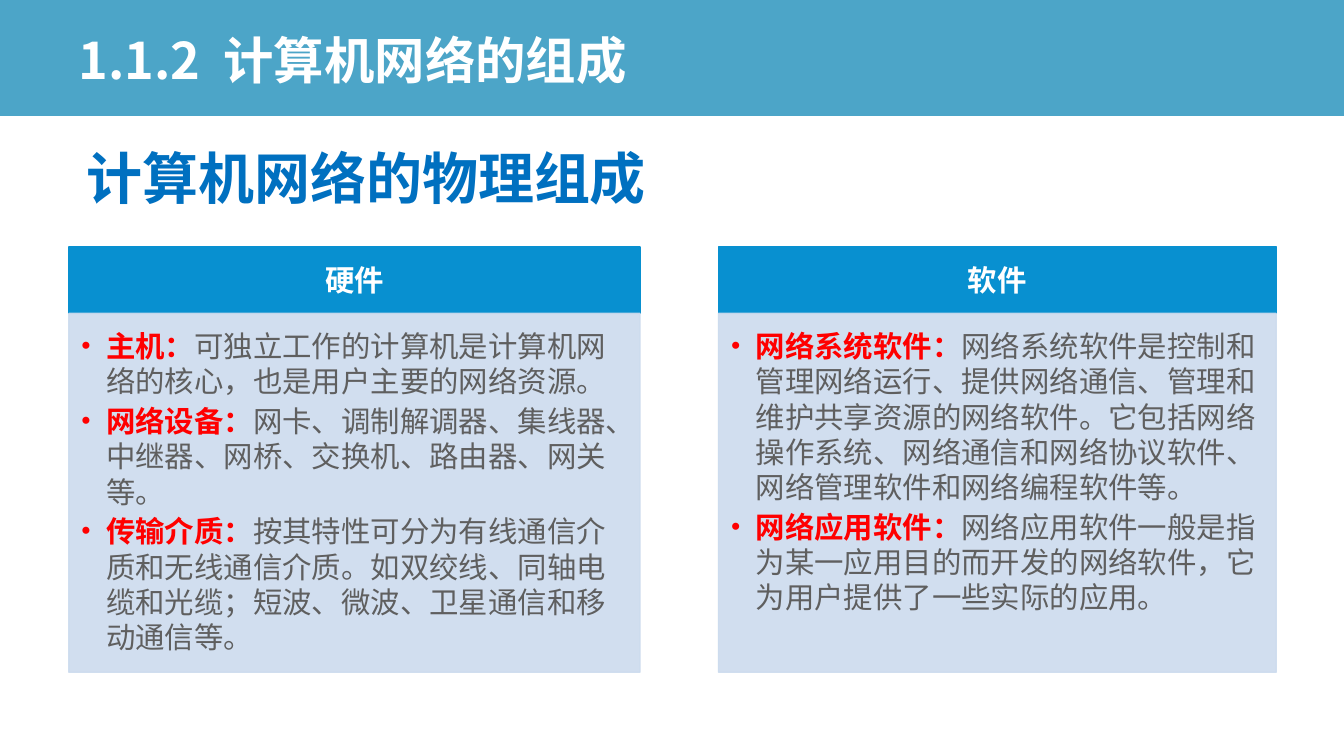
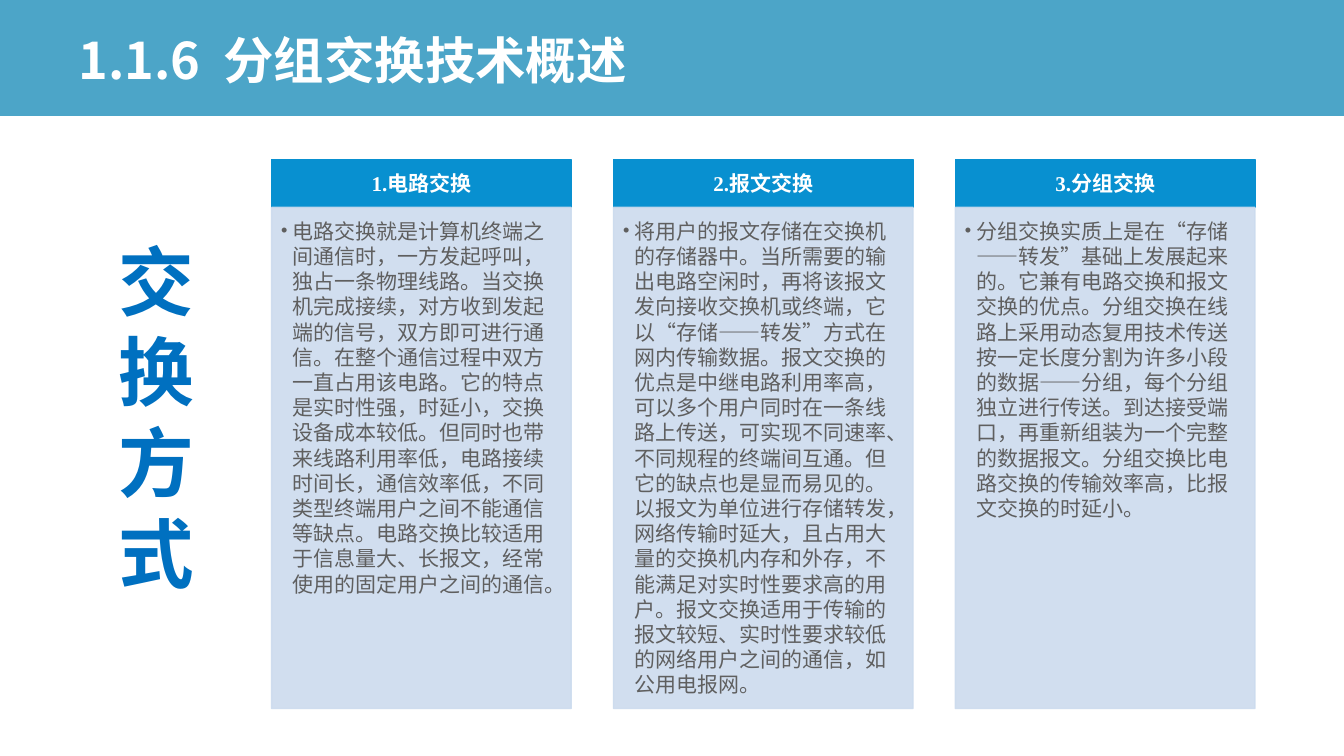
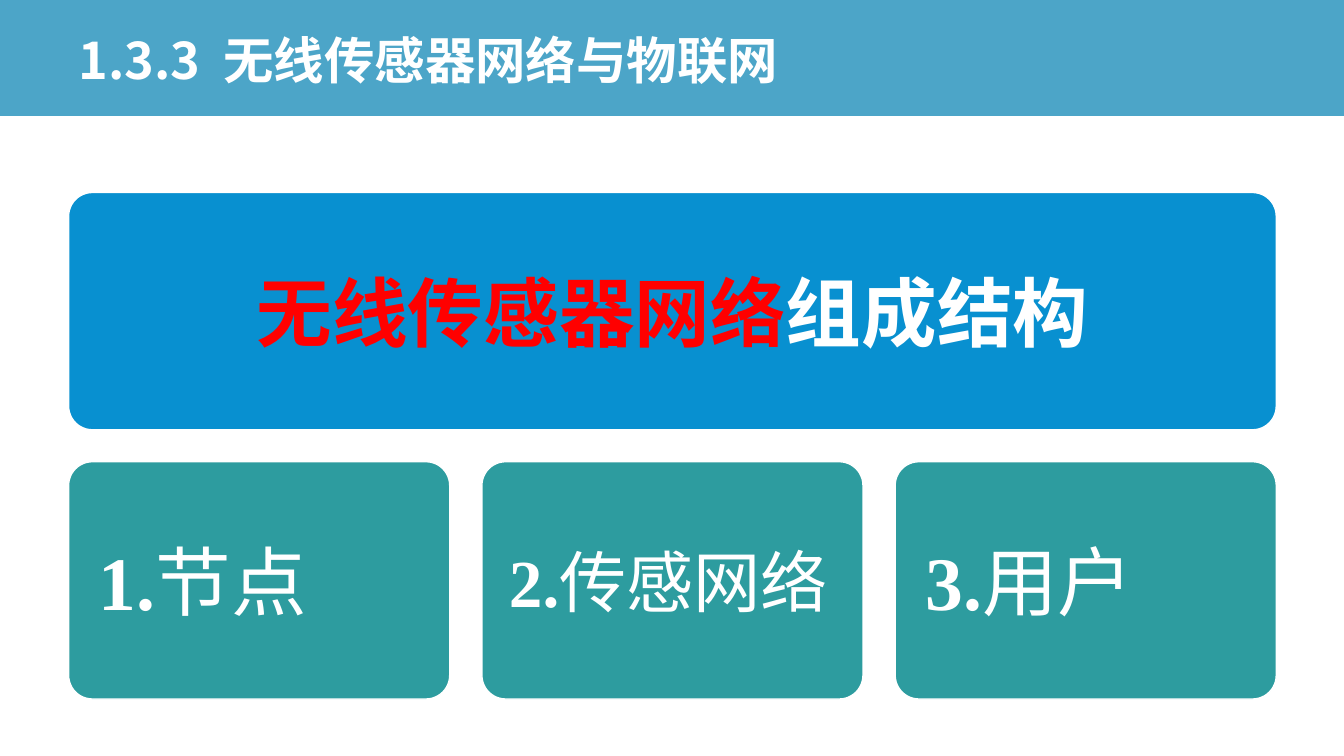
from dataclasses import dataclass

from lxml import etree
from pptx import Presentation
from pptx import util as u
from pptx.dml import color
from pptx.enum import shapes, text
from pptx.oxml import ns

SANS, SANS_JP, SERIF = "Noto Sans CJK SC", "Noto Sans CJK JP", "Times New Roman"
WHITE, RED, GREY = "FFFFFF", "FF0000", "5F5F5F"
BAND, HEADING, PANEL = "0080B2", "0890D0", "CCDBEE"
SUBTITLE, TEAL = "0070C0", "2D9C9F"
LEADING = 1.2


@dataclass(frozen=True)
class Box:
    """A rectangle on the slide, in points."""
    left: float
    top: float
    width: float
    height: float

    def place(self) -> tuple:
        """Return the rectangle as lengths."""
        return tuple(u.Pt(v) for v in (self.left, self.top, self.width, self.height))


@dataclass(frozen=True)
class Words:
    """A run of text with its format."""
    wording: str
    size: float
    hue: str
    bold: bool = False
    face: str = SERIF


@dataclass(frozen=True)
class Column:
    """A headed panel; each item is a red term and its explanation."""
    heading: str
    items: tuple
    left: float
    width: float


@dataclass(frozen=True)
class ColumnStyle:
    """Measures shared by the columns of one slide."""
    top: float
    heading_height: float
    panel_height: float
    size: float
    indent: float
    heading_face: str
    heading_insets: tuple
    panel_insets: tuple


def rgb(value: str) -> color.RGBColor:
    """Turn a hex string into a colour."""
    return color.RGBColor.from_string(value)


def fade(fill, opacity: int) -> None:
    """Make a solid fill or line partly transparent."""
    for node in fill.iter(ns.qn("a:srgbClr")):
        etree.SubElement(node, ns.qn("a:alpha")).set("val", str(opacity * 1000))


def add_run(paragraph, words: Words) -> None:
    """Append a formatted run."""
    run = paragraph.add_run()
    run.text = words.wording
    font = run.font
    font.size, font.bold, font.name = u.Pt(words.size), words.bold, words.face
    font.color.rgb = rgb(words.hue)
    properties = run._r.get_or_add_rPr()
    properties.set("lang", "zh-CN")
    east_asian = etree.SubElement(properties, ns.qn("a:ea"))
    east_asian.set("typeface", SANS if words.face == SERIF else words.face)


def set_frame(frame, insets: tuple, anchor=text.MSO_ANCHOR.MIDDLE) -> None:
    """Set wrapping, anchor and insets (left, top, right, bottom)."""
    frame.word_wrap = True
    frame.vertical_anchor = anchor
    (frame.margin_left, frame.margin_top,
     frame.margin_right, frame.margin_bottom) = map(u.Pt, insets)


def add_block(slide, box: Box, fill: str, line: str | None = None,
              opacity: int = 100, kind=shapes.MSO_SHAPE.RECTANGLE):
    """Draw a filled shape without shadow."""
    block = slide.shapes.add_shape(kind, *box.place())
    block.shadow.inherit = False
    block.fill.solid()
    block.fill.fore_color.rgb = rgb(fill)
    if line:
        block.line.color.rgb = rgb(line)
        block.line.width = u.Pt(1)
    else:
        block.line.fill.background()
    if opacity < 100:
        fade(block._element.spPr, opacity)
    return block


def write_line(frame, runs: tuple, align=text.PP_ALIGN.CENTER) -> None:
    """Fill the first paragraph of a frame."""
    paragraph = frame.paragraphs[0]
    paragraph.alignment = align
    for words in runs:
        add_run(paragraph, words)


def add_label(slide, box: Box, words: Words, align, leading: float) -> None:
    """Add a free-standing text with exact leading."""
    label = slide.shapes.add_textbox(*box.place()).text_frame
    set_frame(label, (7.2, 3.6, 7.2, 3.6), text.MSO_ANCHOR.TOP)
    write_line(label, (words,), align)
    label.paragraphs[0].line_spacing = u.Pt(words.size * leading)


def add_bullet(paragraph, indent: float) -> None:
    """Give a paragraph a hanging bullet."""
    paragraph.level = 1
    properties = paragraph._p.get_or_add_pPr()
    properties.set("marL", str(u.Pt(indent)))
    properties.set("indent", str(-u.Pt(indent)))
    bullet_font = etree.SubElement(properties, ns.qn("a:buFont"))
    bullet_font.set("typeface", SERIF)
    etree.SubElement(properties, ns.qn("a:buChar")).set("char", "•")


def add_column(slide, column: Column, style: ColumnStyle) -> None:
    """Draw a heading bar and the bulleted panel under it."""
    heading_box = Box(column.left, style.top, column.width, style.heading_height)
    heading = add_block(slide, heading_box, HEADING, HEADING).text_frame
    set_frame(heading, style.heading_insets)
    write_line(heading, (Words(column.heading, style.size, WHITE, True, style.heading_face),))

    panel_box = Box(column.left, style.top + style.heading_height,
                    column.width, style.panel_height)
    panel = add_block(slide, panel_box, PANEL, PANEL, 90).text_frame
    left, top, right, bottom = style.panel_insets
    set_frame(panel, (left, top + 0.09 * style.size, right, bottom), text.MSO_ANCHOR.TOP)
    for index, (term, explanation) in enumerate(column.items):
        item = panel.add_paragraph() if index else panel.paragraphs[0]
        item.alignment = text.PP_ALIGN.LEFT
        item.line_spacing = u.Pt(style.size * LEADING)
        item.space_after = u.Pt(style.size * 0.15)
        add_bullet(item, style.indent)
        if term:
            add_run(item, Words(term, style.size, RED, True))
        add_run(item, Words(explanation, style.size, GREY))


def add_card(slide, box: Box, fill: str, runs: tuple, inset: float, align) -> None:
    """Draw a rounded card with one line of text."""
    card = add_block(slide, box, fill, WHITE, kind=shapes.MSO_SHAPE.ROUNDED_RECTANGLE)
    card.adjustments[0] = 0.1
    set_frame(card.text_frame, (inset,) * 4)
    write_line(card.text_frame, runs, align)


def add_titled_slide(deck, wording: str):
    """Add a title-only slide and set its title."""
    slide = deck.slides.add_slide(deck.slide_layouts[5])
    title = slide.shapes.title
    title.left, title.top, title.width, title.height = Box(49, 13.7, 862.6, 62.6).place()
    set_frame(title.text_frame, (7.2, 3.6, 7.2, 3.6))
    write_line(title.text_frame, (Words(wording, 36, WHITE, True, SANS),), text.PP_ALIGN.LEFT)
    title.text_frame.paragraphs[0].line_spacing = 0.9
    return slide


def move_band_to_layout(deck, slide) -> None:
    """Put the title band on the layout that all slides share."""
    band = add_block(slide, Box(-0.7, -1.4, 961.2, 84.2), BAND, opacity=70)
    deck.slide_layouts[5].shapes.element.insert(2, band._element)


def build_composition(deck) -> None:
    """Build the slide on hardware and software."""
    slide = add_titled_slide(deck, "1.1.2  计算机网络的组成")
    move_band_to_layout(deck, slide)
    style = ColumnStyle(176.4, 47.5, 256.3, 21, 18, SANS,
                        (11.5, 6.5, 11.5, 6.5), (8.6, 8.6, 11.5, 13))
    hardware = (
        ("主机：", "可独立工作的计算机是计算机网络的核心，也是用户主要的网络资源。"),
        ("网络设备：", "网卡、调制解调器、集线器、中继器、网桥、交换机、路由器、网关等。"),
        ("传输介质：", "按其特性可分为有线通信介质和无线通信介质。如双绞线、同轴电缆和光缆；"
         "短波、微波、卫星通信和移动通信等。"),
    )
    software = (
        ("网络系统软件：", "网络系统软件是控制和管理网络运行、提供网络通信、管理和维护共享资源的"
         "网络软件。它包括网络操作系统、网络通信和网络协议软件、网络管理软件和网络编程软件等。"),
        ("网络应用软件：", "网络应用软件一般是指为某一应用目的而开发的网络软件，"
         "它为用户提供了一些实际的应用。"),
    )
    add_column(slide, Column("硬件", hardware, 49.2, 408), style)
    add_column(slide, Column("软件", software, 513.2, 398.4), style)
    add_label(slide, Box(54.7, 95.8, 514, 55.4),
              Words("计算机网络的物理组成", 40, SUBTITLE, True), text.PP_ALIGN.LEFT, 1.28)


def build_switching(deck) -> None:
    """Build the slide on the three ways of switching."""
    slide = add_titled_slide(deck, "1.1.6  分组交换技术概述")
    style = ColumnStyle(113.8, 34.3, 358, 15, 8.6, SERIF,
                        (8.6, 5, 8.6, 5), (6.5, 6.5, 8.6, 9.4))
    methods = (
        ("1.电路交换", "电路交换就是计算机终端之间通信时，一方发起呼叫，独占一条物理线路。"
         "当交换机完成接续，对方收到发起端的信号，双方即可进行通信。在整个通信过程中双方一直占用该电路。"
         "它的特点是实时性强，时延小，交换设备成本较低。但同时也带来线路利用率低，电路接续时间长，"
         "通信效率低，不同类型终端用户之间不能通信等缺点。电路交换比较适用于信息量大、长报文，"
         "经常使用的固定用户之间的通信。"),
        ("2.报文交换", "将用户的报文存储在交换机的存储器中。当所需要的输出电路空闲时，"
         "再将该报文发向接收交换机或终端，它以“存储——转发”方式在网内传输数据。"
         "报文交换的优点是中继电路利用率高，可以多个用户同时在一条线路上传送，可实现不同速率、"
         "不同规程的终端间互通。但它的缺点也是显而易见的。以报文为单位进行存储转发，网络传输时延大，"
         "且占用大量的交换机内存和外存，不能满足对实时性要求高的用户。报文交换适用于传输的报文较短、"
         "实时性要求较低的网络用户之间的通信，如公用电报网。"),
        ("3.分组交换", "分组交换实质上是在“存储——转发”基础上发展起来的。"
         "它兼有电路交换和报文交换的优点。分组交换在线路上采用动态复用技术传送按一定长度分割为许多小段的"
         "数据——分组，每个分组独立进行传送。到达接受端口，再重新组装为一个完整的数据报文。"
         "分组交换比电路交换的传输效率高，比报文交换的时延小。"),
    )
    for index, (heading, explanation) in enumerate(methods):
        add_column(slide, Column(heading, (("", explanation),),
                                 194 + index * 244.2, 214), style)
    add_label(slide, Box(74.9, 164, 73.4, 269.3),
              Words("交换方式", 54, SUBTITLE, True, SANS_JP), text.PP_ALIGN.CENTER, LEADING)


def build_sensor_network(deck) -> None:
    """Build the slide on the structure of a sensor network."""
    slide = add_titled_slide(deck, "1.3.3  无线传感器网络与物联网")
    left, width, height, gap = 49, 862.6, 169.5, 23
    structure = (Words("无线传感器网络", 54, RED, True, SANS),
                 Words("组成结构", 54, WHITE, True))
    add_card(slide, Box(left, 137.5, width, height), HEADING, structure,
             16.6, text.PP_ALIGN.CENTER)
    parts = (("节点", 54, 16.6), ("传感网络", 48, 14.4), ("用户", 54, 16.6))
    part_width = (width - 2 * gap) / 3
    for index, (part, size, inset) in enumerate(parts):
        runs = (Words(f"{index + 1}.", size, WHITE, True), Words(part, size, WHITE))
        add_card(slide, Box(left + index * (part_width + gap), 329.8, part_width, height),
                 TEAL, runs, inset, text.PP_ALIGN.LEFT)


def main() -> None:
    """Build and save the presentation."""
    deck = Presentation()
    deck.slide_width, deck.slide_height = u.Pt(960), u.Pt(540)
    build_composition(deck)
    build_switching(deck)
    build_sensor_network(deck)
    deck.save("out.pptx")


if __name__ == "__main__":
    main()
